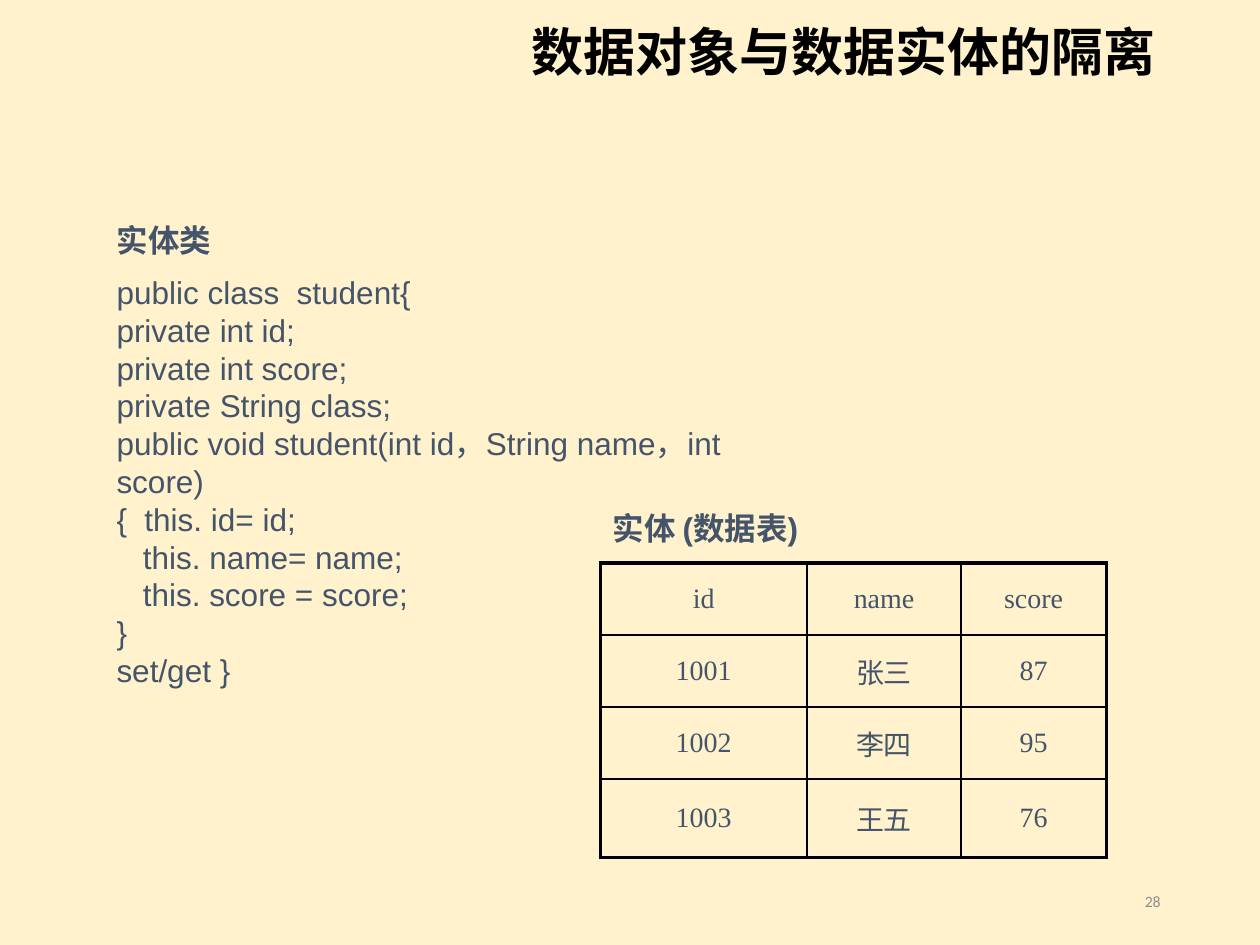
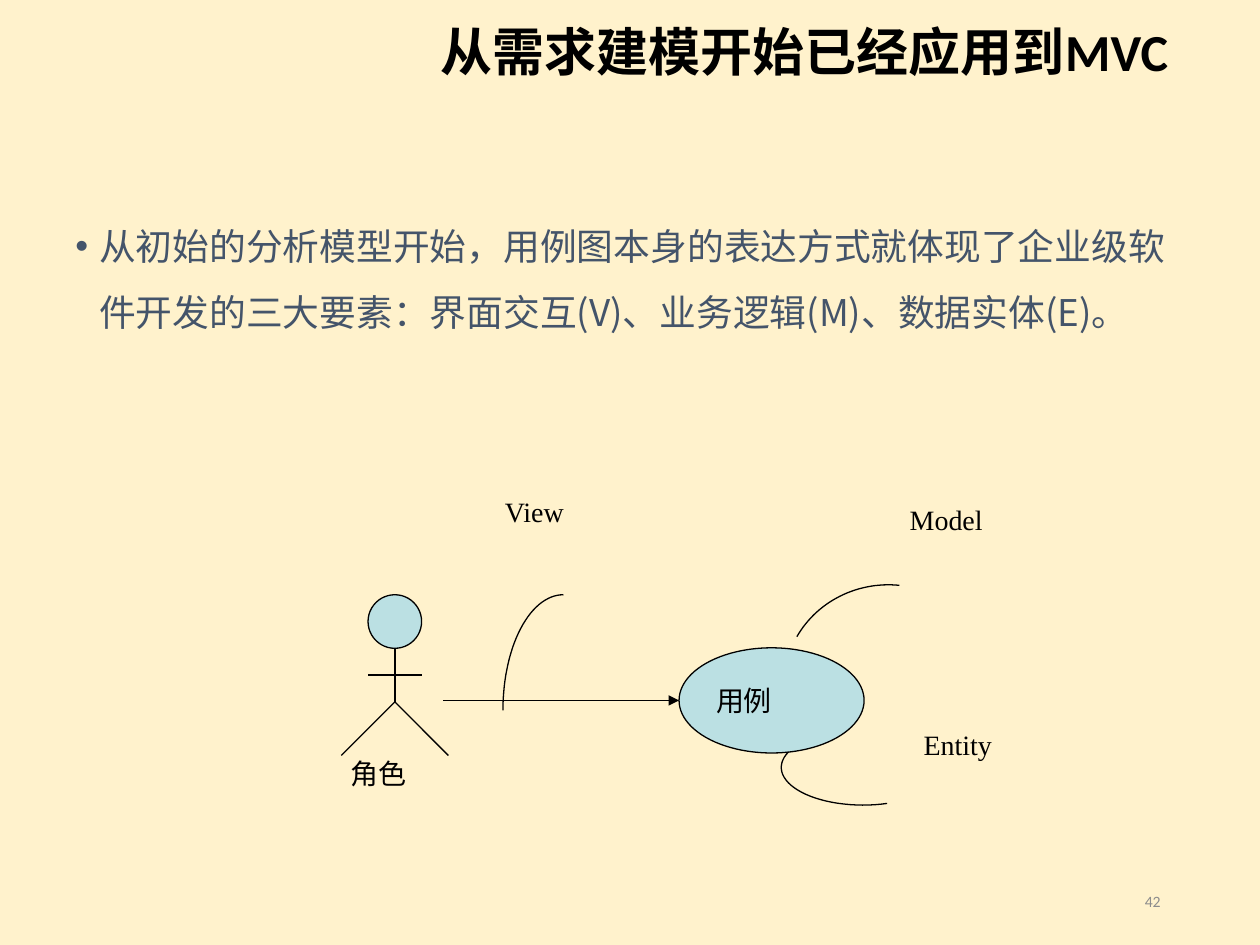
import math

from lxml import etree
from pptx import Presentation
from pptx import util as u
from pptx.dml.color import RGBColor
from pptx.enum import shapes, text
from pptx.oxml import ns

# Shared look
CREAM, SLATE, BLACK, GREY, AQUA = "FFF2CC", "44546A", "000000", "8C8C8C", "BBE0E3"
CJK_FONT = "Noto Sans CJK SC"
SERIF = "Times New Roman"
LEFT, CENTER = text.PP_ALIGN.LEFT, text.PP_ALIGN.CENTER
RIGHT, JUSTIFY = text.PP_ALIGN.RIGHT, text.PP_ALIGN.JUSTIFY
TOP, MIDDLE = text.MSO_ANCHOR.TOP, text.MSO_ANCHOR.MIDDLE
TITLE_AND_BODY, TITLE_ONLY = 1, 5

CODE_LINES = [
    "public class  student{",
    "private int id;",
    "private int score;",
    "private String class;",
    "public void student(int id，String name，int score)",
    "{  this. id= id;",
    "this. name= name;",
    "this. score = score;",
    "}",
    "set/get }",
]
INDENTED_LINES = (6, 7)
STUDENTS = [
    ("id", "name", "score"),
    ("1001", "张三", "87"),
    ("1002", "李四", "95"),
    ("1003", "王五", "76"),
]


def color(value):
    return RGBColor.from_string(value)


def lengths(*values):
    return [u.Cm(value) for value in values]


def add_element(parent, tag, **attributes):
    return etree.SubElement(parent, ns.qn(tag), attributes)


# Text
def add_span(para, words, size, font, ink, bold=False):
    span = para.add_run()
    span.text = words
    span.font.size = u.Pt(size)
    span.font.name = font
    span.font.bold = bold
    span.font.color.rgb = color(ink)
    add_element(span.font._element, "a:ea", typeface=CJK_FONT)


def set_indent(para, left, first=0):
    properties = para._p.get_or_add_pPr()
    properties.set("marL", str(u.Cm(left)))
    properties.set("indent", str(u.Cm(first)))
    return properties


def set_frame(box, anchor, insets=(0.25, 0.13, 0.25, 0.13)):
    frame = box.text_frame
    frame.word_wrap = True
    frame.auto_size = text.MSO_AUTO_SIZE.NONE
    frame.vertical_anchor = anchor
    (frame.margin_left, frame.margin_top,
     frame.margin_right, frame.margin_bottom) = lengths(*insets)
    return frame


def add_text(page, area, lines, size, font, ink, bold=False, align=LEFT,
             anchor=TOP, insets=(0.25, 0.13, 0.25, 0.13)):
    box = page.shapes.add_textbox(*lengths(*area))
    frame = set_frame(box, anchor, insets)
    for index, line in enumerate(lines):
        para = frame.add_paragraph() if index else frame.paragraphs[0]
        para.alignment = align
        add_span(para, line, size, font, ink, bold)
    return frame


def add_heading(page, left, top, words):
    add_text(page, (left, top, 7, 1.02), [words], 18, "Arial", SLATE, bold=True)


def add_diagram_label(page, area, words, top_inset=0.1):
    add_text(page, area, [words], 16, SERIF, BLACK, align=JUSTIFY,
             insets=(0.2, top_inset, 0.2, 0.1))


def place(box, area):
    box.left, box.top, box.width, box.height = lengths(*area)


def add_page(deck, layout, title, number):
    page = deck.slides.add_slide(deck.slide_layouts[layout])
    place(page.shapes.title, (1.9, 0.36, 21.9, 1.5))
    para = set_frame(page.shapes.title, MIDDLE).paragraphs[0]
    para.alignment = RIGHT
    para.line_spacing = 0.9
    add_span(para, title, 29.7, "Calibri", BLACK, bold=True)
    add_text(page, (17.93, 17.65, 5.72, 1.02), [number], 9, "Calibri", GREY,
             align=RIGHT, anchor=MIDDLE)
    return page


def fill_body(page, words):
    body = page.placeholders[1]
    place(body, (1.27, 3.94, 22.86, 13.59))
    para = set_frame(body, TOP).paragraphs[0]
    para.alignment = LEFT
    para.line_spacing = 1.5
    para.space_before = u.Pt(7.5)
    properties = set_indent(para, 0.48, -0.48)
    add_element(properties, "a:buFont", typeface="Arial")
    add_element(properties, "a:buChar", char="•")
    add_span(para, words, 21, CJK_FONT, SLATE)


# Table
def set_border(cell, side, points):
    line = add_element(cell._tc.get_or_add_tcPr(), side, w=str(u.Pt(points)))
    fill = add_element(line, "a:solidFill")
    add_element(fill, "a:srgbClr", val=BLACK)


def add_table(page, left, top, widths, heights, rows):
    area = lengths(left, top, sum(widths), sum(heights))
    table = page.shapes.add_table(len(rows), len(widths), *area).table
    table.first_row = table.horz_banding = False
    for column, width in zip(table.columns, widths):
        column.width = u.Cm(width)
    for row, height in zip(table.rows, heights):
        row.height = u.Cm(height)
    last_row, last_column = len(rows) - 1, len(widths) - 1
    for r, values in enumerate(rows):
        for c, value in enumerate(values):
            cell = table.cell(r, c)
            cell.vertical_anchor = MIDDLE
            para = cell.text_frame.paragraphs[0]
            para.alignment = CENTER
            add_span(para, value, 16, SERIF, SLATE)
            outer_sides = {"a:lnL": c == 0, "a:lnR": c == last_column,
                           "a:lnT": r == 0, "a:lnB": r == last_row}
            for side, outer in outer_sides.items():
                set_border(cell, side, 2 if outer else 1)
            cell.fill.background()


# Diagram parts
def set_line(shape):
    shape.line.color.rgb = color(BLACK)
    shape.line.width = u.Pt(0.75)


def add_ellipse(group, area):
    ellipse = group.add_shape(shapes.MSO_SHAPE.OVAL, *lengths(*area))
    ellipse.shadow.inherit = False
    ellipse.fill.solid()
    ellipse.fill.fore_color.rgb = color(AQUA)
    set_line(ellipse)
    return ellipse


def add_line(group, start, end, arrow=False):
    line = group.add_connector(shapes.MSO_CONNECTOR.STRAIGHT,
                               *lengths(*start, *end))
    set_line(line)
    if arrow:
        add_element(line.line._get_or_add_ln(), "a:tailEnd", type="triangle")
    add_element(line._element.spPr, "a:effectLst")


def add_arc(page, center, radii, start, end, steps=30):
    points = []
    for step in range(steps + 1):
        angle = math.radians(start + (end - start) * step / steps)
        points.append(lengths(center[0] + radii[0] * math.cos(angle),
                              center[1] + radii[1] * math.sin(angle)))
    builder = page.shapes.build_freeform(*points[0])
    builder.add_line_segments(points[1:], close=False)
    arc = builder.convert_to_shape()
    arc.shadow.inherit = False
    arc.fill.background()
    set_line(arc)


def add_actor(page, x, top, unit):
    """Stick figure: head, spine and leg drop are each one unit high."""
    group = page.shapes.add_group_shape().shapes
    neck, hip, feet = (top + unit * count for count in (1, 2, 3))
    half = unit / 2
    add_ellipse(group, (x - half, top, unit, unit))
    add_line(group, (x - half, neck + half), (x + half, neck + half))
    add_line(group, (x, neck), (x, hip))
    for side in (-unit, unit):
        add_line(group, (x, hip), (x + side, feet))


# Slides
def build_entity_page(deck):
    page = add_page(deck, TITLE_ONLY, "数据对象与数据实体的隔离 ", "28")
    add_table(page, 12.1, 11.35, (4.17, 3.1, 2.93), (1.45, 1.45, 1.45, 1.58),
              STUDENTS)
    code = add_text(page, (2.1, 5.72, 13.8, 7.95), CODE_LINES, 18, "Arial",
                    SLATE, anchor=MIDDLE)
    for index in INDENTED_LINES:
        set_indent(code.paragraphs[index], 0.53)
    add_heading(page, 2.1, 4.32, "实体类")
    add_heading(page, 12.1, 10.13, "实体 (数据表)")


def build_mvc_page(deck):
    page = add_page(deck, TITLE_AND_BODY, "从需求建模开始已经应用到MVC", "42")
    fill_body(page, "从初始的分析模型开始，用例图本身的表达方式就体现了企业级软件开发的"
                    "三大要素：界面交互(V)、业务逻辑(M)、数据实体(E)。")

    # Actor and use case
    add_actor(page, 7.96, 11.99, 1.08)
    use_case = add_ellipse(page.shapes, (13.69, 13.06, 3.73, 2.12))
    para = set_frame(use_case, MIDDLE, (0.2, 0, 0.2, 0)).paragraphs[0]
    para.alignment = LEFT
    add_span(para, "用例", 16, SERIF, BLACK)
    add_line(page.shapes, (8.94, 14.12), (13.69, 14.12), arrow=True)

    # Labels and the arcs leading to them
    add_diagram_label(page, (6.87, 15.16, 2.08, 1.96), "角色")
    add_diagram_label(page, (9.98, 9.88, 3.1, 1.96), "View")
    add_diagram_label(page, (18.14, 10.03, 2.97, 1.96), "Model")
    add_diagram_label(page, (18.42, 14.66, 3.25, 1.57), "Entity", top_inset=0)
    add_arc(page, (11.36, 14.32), (1.22, 2.33), 180, 270)
    add_arc(page, (17.91, 13.82), (2.11, 2.03), 209, 276)
    add_arc(page, (17.4, 15.47), (1.65, 0.76), 204, 73)


def main():
    deck = Presentation()
    deck.slide_width, deck.slide_height = lengths(25.4, 19.05)
    background = deck.slide_master.background.fill
    background.solid()
    background.fore_color.rgb = color(CREAM)
    build_entity_page(deck)
    build_mvc_page(deck)
    deck.save("out.pptx")


if __name__ == "__main__":
    main()
